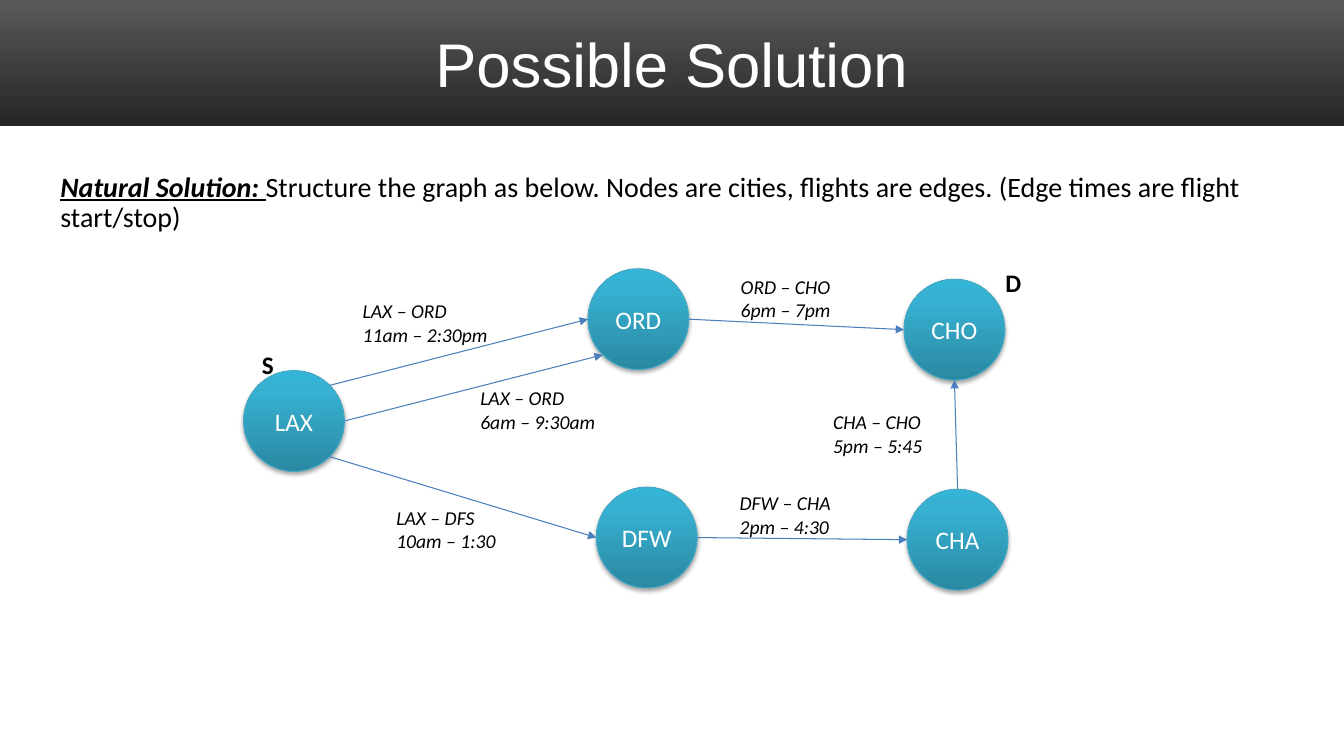
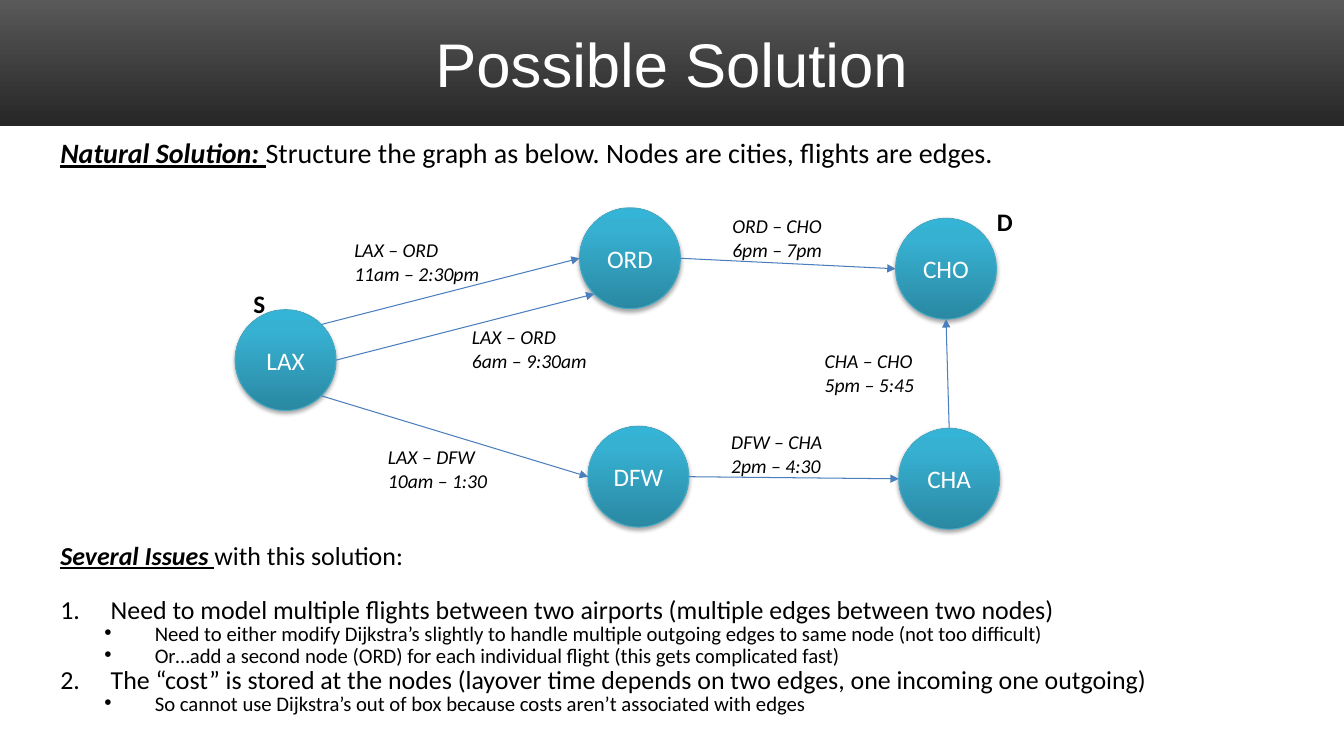
from dataclasses import dataclass
from math import cos, radians, sin
from typing import Any, NamedTuple

from pptx import Presentation
from pptx.dml.color import RGBColor as Rgb
from pptx.enum.shapes import MSO_CONNECTOR as Link, MSO_SHAPE as Form
from pptx.enum.text import MSO_ANCHOR as Anchor, MSO_AUTO_SIZE as Fit, PP_ALIGN as Align
from pptx.oxml import parse_xml as to_xml
from pptx.oxml.ns import nsdecls, qn
from pptx.util import Emu, Pt


@dataclass(frozen=True)
class Theme:
    """Colours, fonts and type sizes of the deck."""
    white: str = "FFFFFF"
    ink: str = "000000"
    edge: str = "4B7EBC"
    rim: str = "46AAC5"
    band: tuple = ((0, "595959"), (100, "262626"))
    ball: tuple = ((0, "2A88A2"), (80, "37B1D2"), (100, "34B4D6"))
    head: str = "Arial"
    body: str = "Calibri"
    title: float = 44
    lead: float = 20
    node: float = 18
    label: float = 14
    item: float = 18.5
    sub: float = 14.8
    hair: float = 0.75


class Box(NamedTuple):
    """Left, top, width and height in px."""
    x: int
    y: int
    w: int
    h: int

    def move(self, dx: int, dy: int) -> "Box":
        """Return the box shifted by dx and dy."""
        return Box(self.x + dx, self.y + dy, self.w, self.h)


class Hop(NamedTuple):
    """A flight: both ends with their sites, label lines and label box."""
    start: str
    out: int
    end: str
    into: int
    lines: tuple[str, str]
    box: Box


class Point(NamedTuple):
    """A list entry with its level and the space before it."""
    level: int
    text: str
    gap: float


THEME = Theme()
SCALE = 9525
SIDE = 96
BAND = Box(0, 0, 1280, 120)
TITLE = Box(64, 16, 1152, 88)
LEAD = Box(48, 160, 1168, 72)
ISSUES = Box(48, 517, 1168, 187)
NODES = {"LAX": (232, 353), "ORD": (560, 256), "CHA": (864, 466),
         "CHO": (861, 266), "DFW": (568, 464)}
MARKS = {"S": Box(240, 328, 40, 38), "D": Box(948, 250, 40, 38)}
TOP, LEFT, LOW_LEFT, LOW, LOW_RIGHT, RIGHT, TOP_RIGHT = 0, 2, 3, 4, 5, 6, 7
HOPS = (
    Hop("LAX", TOP_RIGHT, "ORD", LEFT, ("LAX – ORD", "11am – 2:30pm"), Box(336, 280, 152, 55)),
    Hop("LAX", RIGHT, "ORD", LOW_LEFT, ("LAX – ORD", "6am – 9:30am"), Box(448, 363, 152, 55)),
    Hop("LAX", LOW_RIGHT, "DFW", LEFT, ("LAX – {stop}", "10am – 1:30"), Box(368, 477, 136, 55)),
    Hop("ORD", RIGHT, "CHO", LEFT, ("ORD – CHO", "6pm – 7pm"), Box(696, 257, 136, 55)),
    Hop("CHA", TOP, "CHO", LOW, ("CHA – CHO", "5pm – 5:45"), Box(784, 386, 136, 55)),
    Hop("DFW", RIGHT, "CHA", LEFT, ("DFW – CHA", "2pm – 4:30"), Box(695, 463, 136, 55)),
)
POINTS = (
    Point(0, "Need to model multiple flights between two airports (multiple edges between two nodes)", 23),
    Point(1, "Need to either modify Dijkstra’s slightly to handle multiple outgoing edges to same node (not too difficult)", 3),
    Point(1, "Or…add a second node (ORD) for each individual flight (this gets complicated fast)", 3),
    Point(0, "The “cost” is stored at the nodes (layover time depends on two edges, one incoming one outgoing)", 3.5),
    Point(1, "So cannot use Dijkstra’s out of box because costs aren’t associated with edges", 3),
)


def px(*sizes: float) -> list[Emu]:
    """Turn px into EMU."""
    return [Emu(round(size * SCALE)) for size in sizes]


def put(thing: Any, **form: Any) -> None:
    """Set each format value on the thing."""
    for key, value in form.items():
        setattr(thing, key, value)


def style(font: Any, size: float, tint: str = THEME.ink, name: str = THEME.body, **form: Any) -> None:
    """Give a font its face, size, colour and extras."""
    put(font, name=name, size=Pt(size), **form)
    font.color.rgb = Rgb.from_string(tint)


def shade(shape: Any, stops: tuple, angle: int) -> None:
    """Fill a shape with a linear gradient."""
    marks = "".join(f'<a:gs pos="{at * 1000}"><a:srgbClr val="{tint}"/></a:gs>' for at, tint in stops)
    fill = to_xml(f'<a:gradFill {nsdecls("a")} rotWithShape="1"><a:gsLst>{marks}</a:gsLst>'
                  f'<a:lin ang="{angle * 60000}" scaled="0"/></a:gradFill>')
    shape._element.spPr.find(qn("a:prstGeom")).addnext(fill)


def add_text(slide: Any, box: Box, **form: Any) -> Any:
    """Add a wrapped text box and return its frame."""
    frame = slide.shapes.add_textbox(*px(*box)).text_frame
    put(frame, word_wrap=True, **form)
    return frame


def add_lead(par: Any, strong: str, rest: str, size: float, pitch: float) -> None:
    """Write an underlined lead followed by plain text."""
    par.line_spacing = pitch
    for text, on in ((strong, True), (rest, False)):
        run = par.add_run()
        run.text = text
        style(run.font, size, bold=on, italic=on, underline=on)


def add_band(slide: Any) -> None:
    """Place the title band on the layout of the slide."""
    band = slide.shapes.add_shape(Form.RECTANGLE, *px(*BAND))
    shade(band, THEME.band, 90)
    band.line.fill.background()
    band.shadow.inherit = False
    band._element.nvSpPr.cNvPr.set("id", "99")
    slide.slide_layout.shapes._spTree.insert(2, band._element)


def add_slide(deck: Any, title: str) -> Any:
    """Add a slide with its title set."""
    slide = deck.slides.add_slide(deck.slide_layouts[5])
    head = slide.shapes.title
    put(head, **dict(zip(("left", "top", "width", "height"), px(*TITLE))))
    frame = head.text_frame
    put(frame, text=title, vertical_anchor=Anchor.MIDDLE)
    par = frame.paragraphs[0]
    par.alignment = Align.CENTER
    style(par.runs[0].font, THEME.title, THEME.white, THEME.head)
    return slide


def add_node(slide: Any, name: str, box: Box) -> Any:
    """Draw one city."""
    ball = slide.shapes.add_shape(Form.OVAL, *px(*box))
    shade(ball, THEME.ball, 270)
    ball.line.color.rgb = Rgb.from_string(THEME.rim)
    ball.line.width = Pt(THEME.hair)
    ball.shadow.inherit = False
    ball._element.spPr.find(qn("a:effectLst")).append(to_xml(
        f'<a:outerShdw {nsdecls("a")} blurRad="40000" dist="23000" dir="5400000" rotWithShape="0">'
        f'<a:srgbClr val="{THEME.ink}"><a:alpha val="35000"/></a:srgbClr></a:outerShdw>'))
    frame = ball.text_frame
    put(frame, text=name, word_wrap=False, vertical_anchor=Anchor.MIDDLE)
    par = frame.paragraphs[0]
    par.alignment = Align.CENTER
    style(par.runs[0].font, THEME.node, THEME.white)
    return ball


def site(box: Box, step: int) -> tuple[float, float]:
    """Find a site on a circle, counted from the top to the left."""
    turn, half = radians(45 * step), box.w / 2
    return box.x + half - half * sin(turn), box.y + half - half * cos(turn)


def add_label(slide: Any, box: Box, lines: tuple[str, ...], size: float, **form: Any) -> None:
    """Write a short label."""
    frame = add_text(slide, box, text="\n".join(lines), auto_size=Fit.SHAPE_TO_FIT_TEXT)
    for par in frame.paragraphs:
        style(par.runs[0].font, size, **form)


def add_graph(slide: Any, dx: int, dy: int, stop: str) -> None:
    """Draw the cities, the flights and their labels."""
    spots = {name: Box(*at, SIDE, SIDE).move(dx, dy) for name, at in NODES.items()}
    balls = {name: add_node(slide, name, box) for name, box in spots.items()}
    for hop in HOPS:
        ends = site(spots[hop.start], hop.out) + site(spots[hop.end], hop.into)
        edge = slide.shapes.add_connector(Link.STRAIGHT, *px(*ends))
        edge._connect_begin_to(balls[hop.start], hop.out)
        edge._connect_end_to(balls[hop.end], hop.into)
        edge.line.color.rgb = Rgb.from_string(THEME.edge)
        edge.line.width = Pt(THEME.hair)
        edge.line._ln.append(to_xml(f'<a:tailEnd {nsdecls("a")} type="triangle"/>'))
        edge._element.spPr.append(to_xml(f'<a:effectLst {nsdecls("a")}/>'))
        lines = tuple(line.format(stop=stop) for line in hop.lines)
        add_label(slide, hop.box.move(dx, dy), lines, THEME.label, italic=True)
    for mark, box in MARKS.items():
        add_label(slide, box.move(dx, dy), (mark,), THEME.node, bold=True)


def add_issues(slide: Any) -> None:
    """Write the numbered issues with their bullets."""
    frame = add_text(slide, ISSUES)
    add_lead(frame.paragraphs[0], "Several Issues ", "with this solution:", THEME.item, 0.7)
    signs = ('<a:buFont {} typeface="+mj-lt"/>', '<a:buAutoNum {} type="arabicPeriod"/>'), \
            ('<a:buFont {} typeface="Arial"/>', '<a:buChar {} char="•"/>')
    for point in POINTS:
        par = frame.add_paragraph()
        put(par, text=point.text, level=point.level, line_spacing=0.7, space_before=Pt(point.gap))
        prop = par._p.get_or_add_pPr()
        inset, hang = px((48, 90)[point.level], -48)
        prop.set("marL", str(inset))
        prop.set("indent", str(hang))
        for sign in signs[point.level]:
            prop.append(to_xml(sign.format(nsdecls("a"))))
        style(par.runs[0].font, (THEME.item, THEME.sub)[point.level])


def main() -> None:
    """Build and save the deck."""
    deck = Presentation()
    deck.slide_width, deck.slide_height = px(1280, 720)
    first, second = (add_slide(deck, "Possible Solution") for _ in range(2))
    add_band(first)
    text = "Structure the graph as below. Nodes are cities, flights are edges."
    more = " (Edge times are flight start/stop)"
    for slide, rise, rest in ((first, 0, text + more), (second, -32, text)):
        frame = add_text(slide, LEAD.move(0, rise))
        add_lead(frame.paragraphs[0], "Natural Solution: ", rest, THEME.lead, 0.9)
    add_graph(first, 0, 0, "DFS")
    add_issues(second)
    add_graph(second, -8, -58, "DFW")
    deck.save("out.pptx")


if __name__ == "__main__":
    main()
